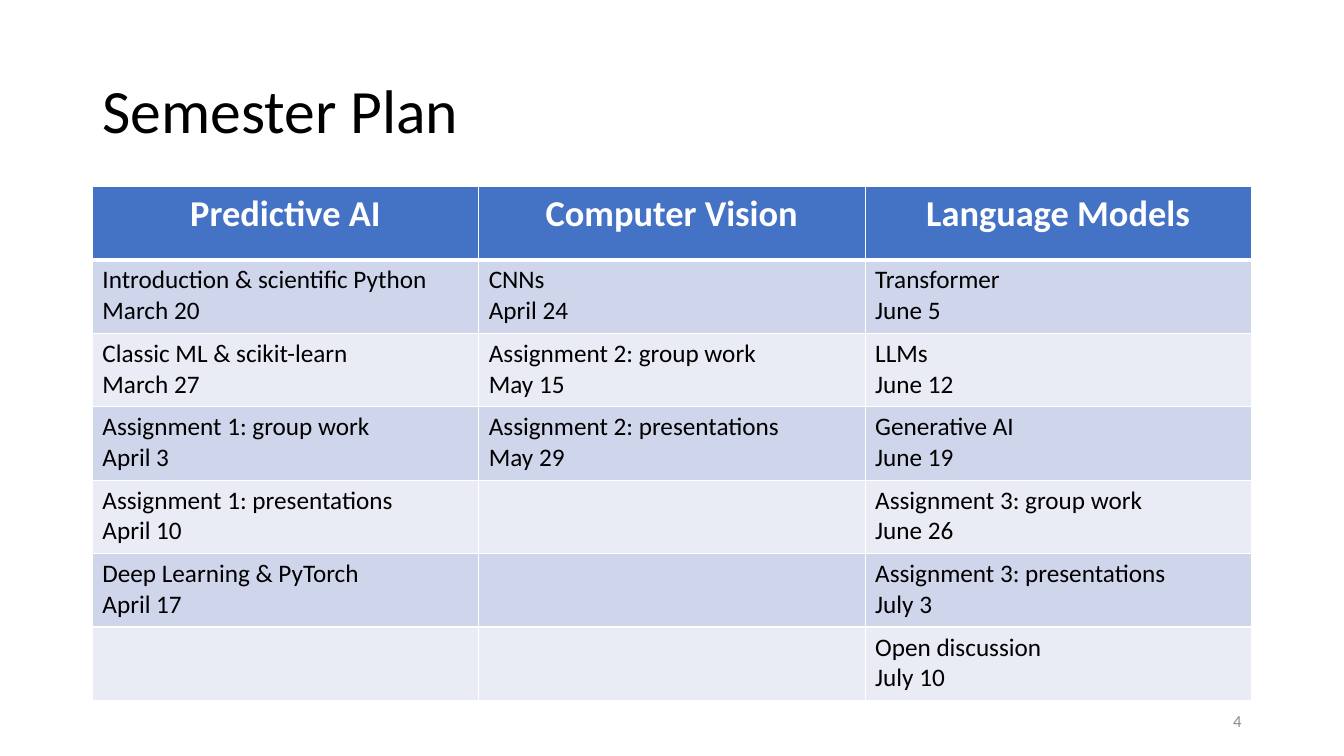
from dataclasses import dataclass
from lxml import etree
from pptx import Presentation
from pptx import util as u
from pptx.dml import color
from pptx.enum import text
from pptx.oxml import ns

FONT = "Calibri"
WHITE, BLACK, GREY, BLUE = "FFFFFF", "000000", "8C8C8C", "4472C4"
BANDS = ("CFD5EA", "E9EBF5")
LEFT, WIDTH = u.Pt(66), u.Pt(828)
ROW_HEIGHT = u.Pt(52.46)


@dataclass(frozen=True)
class Style:
    size: float
    ink: str
    bold: bool = False
    align: text.PP_ALIGN = text.PP_ALIGN.LEFT


@dataclass(frozen=True)
class Session:
    topic: str
    date: str


@dataclass(frozen=True)
class Course:
    name: str
    sessions: tuple[Session, ...]


TITLE = Style(44, BLACK)
HEADER = Style(26, WHITE, True, text.PP_ALIGN.CENTER)
BODY = Style(18, BLACK)
NUMBER = Style(12, GREY, align=text.PP_ALIGN.RIGHT)

COURSES = (
    Course("Predictive AI", (
        Session("Introduction & scientific Python", "March 20"),
        Session("Classic ML & scikit-learn", "March 27"),
        Session("Assignment 1: group work", "April 3"),
        Session("Assignment 1: presentations", "April 10"),
        Session("Deep Learning & PyTorch", "April 17"),
    )),
    Course("Computer Vision", (
        Session("CNNs", "April 24"),
        Session("Assignment 2: group work", "May 15"),
        Session("Assignment 2: presentations", "May 29"),
    )),
    Course("Language Models", (
        Session("Transformer", "June 5"),
        Session("LLMs", "June 12"),
        Session("Generative AI", "June 19"),
        Session("Assignment 3: group work", "June 26"),
        Session("Assignment 3: presentations", "July 3"),
        Session("Open discussion", "July 10"),
    )),
)


def paint(target, value: str) -> None:
    target.rgb = color.RGBColor.from_string(value)


def write(frame, lines: tuple[str, ...], style: Style) -> None:
    for index, line in enumerate(lines):
        para = frame.paragraphs[0] if index == 0 else frame.add_paragraph()
        para.alignment = style.align
        span = para.add_run()
        span.text = line
        span.font.name = FONT
        span.font.size = u.Pt(style.size)
        span.font.bold = style.bold
        paint(span.font.color, style.ink)


def add_border(cell, side: str, points: float) -> None:
    properties = cell._tc.get_or_add_tcPr()
    line = etree.SubElement(properties, ns.qn(f"a:ln{side}"), w=str(int(u.Pt(points))))
    fill = etree.SubElement(line, ns.qn("a:solidFill"))
    etree.SubElement(fill, ns.qn("a:srgbClr"), val=WHITE)


def format_cell(cell, row: int) -> None:
    thick = {(0, "B"), (1, "T")}
    for side in "LRTB":
        add_border(cell, side, 3 if (row, side) in thick else 1)
    cell.fill.solid()
    paint(cell.fill.fore_color, BLUE if row == 0 else BANDS[(row - 1) % 2])


def add_title(page) -> None:
    title = page.shapes.title
    title.left, title.top, title.width, title.height = LEFT, u.Pt(28.75), WIDTH, u.Pt(104.4)
    frame = title.text_frame
    frame.auto_size = text.MSO_AUTO_SIZE.NONE
    frame.vertical_anchor = text.MSO_ANCHOR.MIDDLE
    write(frame, ("Semester Plan",), TITLE)
    frame.paragraphs[0].line_spacing = 0.9


def add_plan(page) -> None:
    row_count = 1 + max(len(course.sessions) for course in COURSES)
    plan = page.shapes.add_table(
        row_count, len(COURSES), LEFT, u.Pt(133.2), WIDTH, ROW_HEIGHT * row_count
    ).table
    for row in plan.rows:
        row.height = ROW_HEIGHT
    for column, course in enumerate(COURSES):
        for row in range(row_count):
            format_cell(plan.cell(row, column), row)
        write(plan.cell(0, column).text_frame, (course.name,), HEADER)
        for row, session in enumerate(course.sessions, start=1):
            write(plan.cell(row, column).text_frame, (session.topic, session.date), BODY)


def add_page_number(page) -> None:
    box = page.shapes.add_textbox(u.Pt(678), u.Pt(500.5), u.Pt(216), u.Pt(28.75))
    frame = box.text_frame
    frame.word_wrap = True
    frame.vertical_anchor = text.MSO_ANCHOR.MIDDLE
    write(frame, ("4",), NUMBER)


def main() -> None:
    deck = Presentation()
    deck.slide_width, deck.slide_height = u.Pt(960), u.Pt(540)
    page = deck.slides.add_slide(deck.slide_layouts.get_by_name("Title Only"))
    add_title(page)
    add_page_number(page)
    add_plan(page)
    deck.save("out.pptx")


if __name__ == "__main__":
    main()
